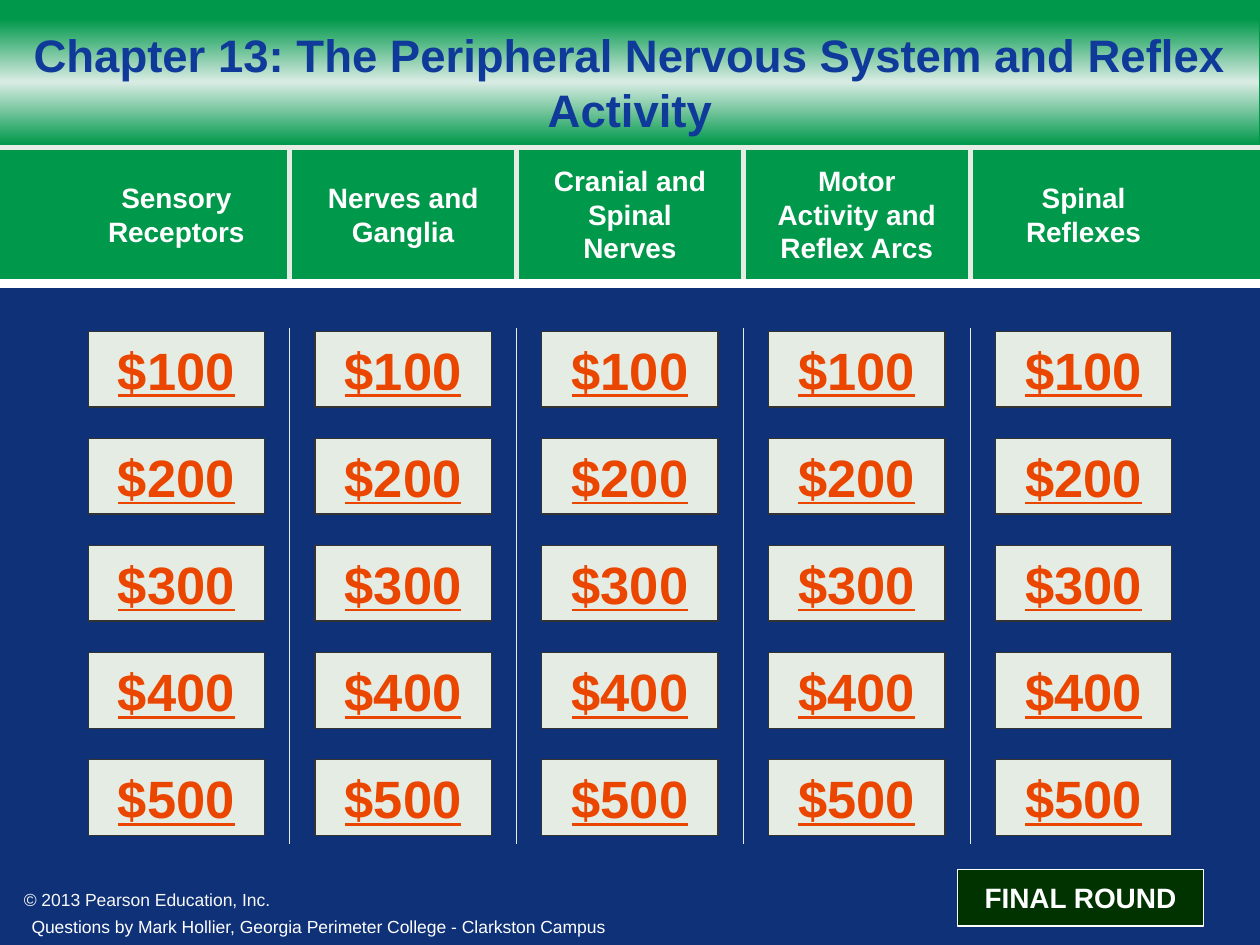
from copy import deepcopy
from lxml import etree
from pptx import Presentation
from pptx import util as u
from pptx.dml.color import RGBColor
from pptx.enum import shapes, text
from pptx.oxml.ns import qn

TITLE = "Chapter 13: The Peripheral Nervous System and Reflex Activity"
CATEGORIES = ["Sensory Receptors", "Nerves and Ganglia", "Cranial and Spinal Nerves",
              "Motor Activity and Reflex Arcs", "Spinal Reflexes"]
PRICES = ["$100", "$200", "$300", "$400", "$500"]
FINAL = "FINAL ROUND"
COPYRIGHT = "© 2013 Pearson Education, Inc."
CREDIT = "Questions by Mark Hollier, Georgia Perimeter College - Clarkston Campus"

C = {"green": "00984A", "mint": "D9ECE4", "navy": "0F3178", "blue": "0F3A9A",
     "pale": "E4ECE4", "edge": "333333", "orange": "EB4600", "dark": "003300",
     "white": "FFFFFF", "soft": "F8F8F8"}

W, H = 10, 7.5
LEFT, COL, ROW = 0.7, 1.8, 0.85
CARD_W, CARD_H, CARD_TOP = 1.4, 0.6, 2.63
HEAD_TOP, HEAD_H, BOARD_TOP = 1.25, 0.9, 2.25
ALIGN = text.PP_ALIGN

prs = Presentation()
prs.slide_width, prs.slide_height = u.Inches(W), u.Inches(H)
s = prs.slides.add_slide(prs.slide_layouts[5])


def rgb(name):
    return RGBColor.from_string(C[name])


def write(sp, words, size, color, bold=True, align=ALIGN.CENTER, underline=None,
          wrap=True, inset=0, anchor=text.MSO_ANCHOR.MIDDLE):
    tf = sp.text_frame
    tf.text = words
    tf.word_wrap = wrap
    tf.auto_size = text.MSO_AUTO_SIZE.NONE
    tf.vertical_anchor = anchor
    tf.margin_left = tf.margin_right = u.Inches(inset)
    tf.margin_top = tf.margin_bottom = u.Inches(inset / 2)
    p = tf.paragraphs[0]
    p.alignment = align
    f = p.font
    f.name, f.size, f.bold, f.underline = "Arial", u.Pt(size), bold, underline
    f.color.rgb = rgb(color)


def rect(x, y, w, h, fill, line=None):
    sp = s.shapes.add_shape(shapes.MSO_SHAPE.RECTANGLE, *map(u.Inches, (x, y, w, h)))
    sp.shadow.inherit = False
    sp.fill.solid()
    sp.fill.fore_color.rgb = rgb(fill)
    if line:
        sp.line.color.rgb = rgb(line)
        sp.line.width = u.Pt(0.75)
    else:
        sp.line.fill.background()
    return sp


def rule(x1, y1, x2, y2, color, width):
    ln = s.shapes.add_connector(shapes.MSO_CONNECTOR.STRAIGHT,
                                *map(u.Inches, (x1, y1, x2, y2)))
    ln.line.color.rgb = rgb(color)
    ln.line.width = u.Pt(width)
    etree.SubElement(ln._element.spPr, qn("a:effectLst"))


def box(x, y, w, h):
    return s.shapes.add_textbox(*map(u.Inches, (x, y, w, h)))


def footnote(sp, words, color, align):
    write(sp, words, 10, color, bold=False, align=align, wrap=False,
          inset=0.1, anchor=text.MSO_ANCHOR.TOP)


s.background.fill.solid()
s.background.fill.fore_color.rgb = rgb("green")
rect(0, BOARD_TOP, W, H - BOARD_TOP, "navy")

band = rect(0, 0.15, W - 0.01, 1, "green")
band.fill.gradient()
band.fill.gradient_angle = 90
first, last = band.fill.gradient_stops
first.color.rgb = last.color.rgb = rgb("green")
first.position, last.position = 0, 1
stop_list = band._element.spPr.find(qn("a:gradFill")).find(qn("a:gsLst"))
stop_list.insert(1, deepcopy(stop_list[0]))
middle = band.fill.gradient_stops[1]
middle.position = 0.5
middle.color.rgb = rgb("mint")

rule(0, 1.17, W, 1.17, "pale", 3)
for i in range(1, len(CATEGORIES)):
    x = LEFT + i * COL - (COL - CARD_W) / 2
    rule(x, 1.15, x, BOARD_TOP, "pale", 3)
    rule(x, 2.6, x, 6.7, "pale", 0.5)
rule(0, BOARD_TOP, W, BOARD_TOP, "white", 5)

title = s.shapes.title
title.left, title.top, title.width, title.height = map(u.Inches, (0.2, 0.25, W - 0.4, 0.8))
write(title, TITLE, 26, "blue")
s.shapes._spTree.append(title._element)

for i, category in enumerate(CATEGORIES):
    x = LEFT + i * COL
    write(box(x, HEAD_TOP, CARD_W, HEAD_H), category, 16, "white")
    for j, price in enumerate(PRICES):
        card = rect(x, CARD_TOP + j * ROW, CARD_W, CARD_H, "pale", "edge")
        write(card, price, 30, "orange", underline=True)

write(rect(7.6, 6.9, 1.95, 0.45, "dark", "white"), FINAL, 16, "white", wrap=False)
footnote(box(0.09, 7.01, 2.15, 0.27), COPYRIGHT, "soft", ALIGN.LEFT)
footnote(box(0.14, 7.22, 4.76, 0.27), CREDIT, "white", ALIGN.RIGHT)

prs.save("out.pptx")
